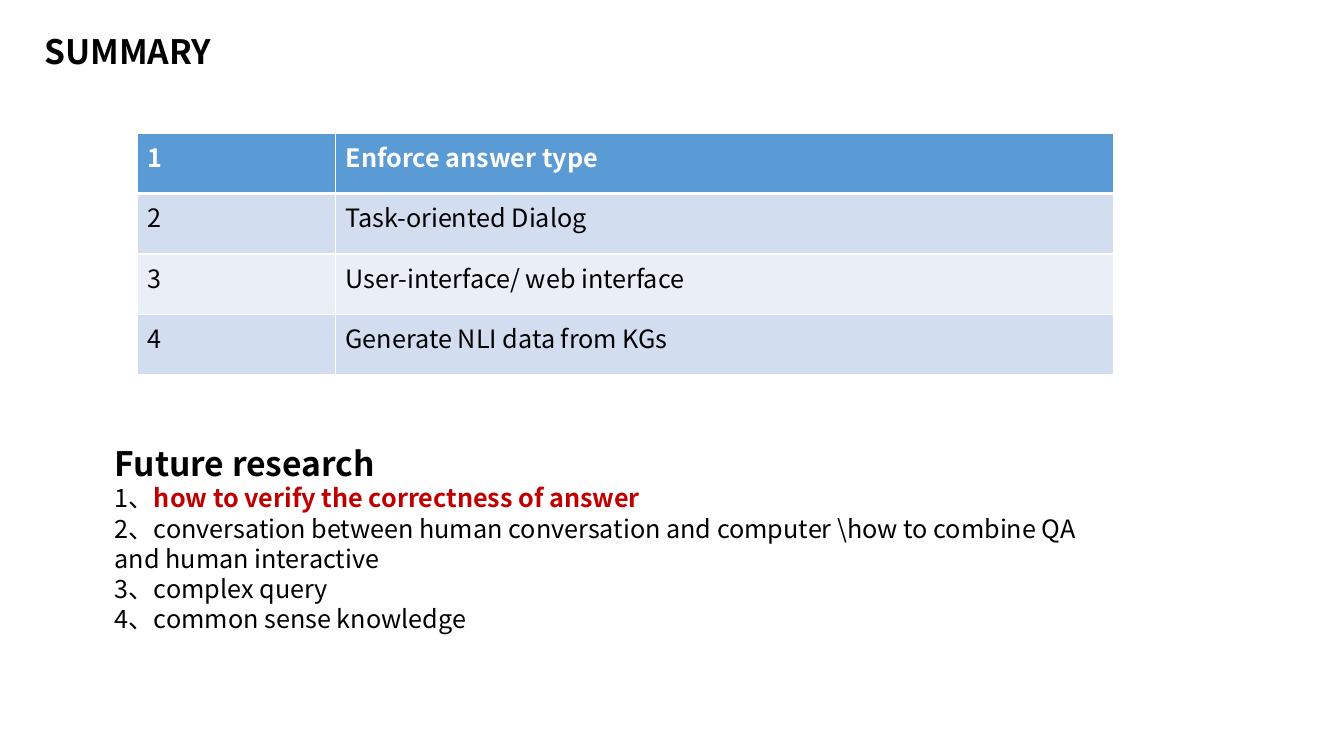
from dataclasses import dataclass

from lxml.etree import SubElement
from pptx import Presentation
from pptx.dml.color import RGBColor
from pptx.enum.text import MSO_ANCHOR, MSO_AUTO_SIZE, PP_ALIGN
from pptx.oxml.ns import qn
from pptx.slide import Slide
from pptx.table import _Cell
from pptx.text.text import TextFrame, _Paragraph
from pptx.util import Pt


@dataclass(frozen=True)
class Theme:
    font: str = "Noto Sans CJK SC"
    head: int = 24
    body: int = 18
    lead: float = 1.2
    black: str = "000000"
    white: str = "FFFFFF"
    red: str = "C00000"
    blue: str = "5B9BD5"
    bands: tuple[str, str] = ("D2DEEF", "EAEFF7")
    rule: int = 1
    thick: int = 3


THEME = Theme()


@dataclass(frozen=True)
class Run:
    text: str
    size: int = THEME.body
    color: str = THEME.black
    bold: bool = False


@dataclass(frozen=True)
class Box:
    left: float
    top: float
    width: float
    height: float

    def spots(self) -> tuple[Pt, Pt, Pt, Pt]:
        return Pt(self.left), Pt(self.top), Pt(self.width), Pt(self.height)


TITLE = Box(24.5, 16.6, 363.6, 36)
GRID = Box(97.9, 95, 697.6, 172.8)
NOTES = Box(74.9, 310.3, 712.8, 145.4)
FIRST = 141.8  # width of the number column

TOPICS = [
    "Enforce answer type",
    "Task-oriented Dialog",
    "User-interface/ web interface",
    "Generate NLI data from KGs",
]
FUTURE = [
    [Run("Future research", THEME.head, bold=True)],
    [Run("1、"), Run("how to verify the correctness of answer", color=THEME.red, bold=True)],
    [Run("2、conversation between human conversation and computer "
         "\\how to combine QA and human interactive")],
    [Run("3、complex query")],
    [Run("4、common sense knowledge")],
]


# Text
def add_run(para: _Paragraph, item: Run) -> None:
    run = para.add_run()
    run.text = item.text
    font = run.font
    font.name, font.size, font.bold = THEME.font, Pt(item.size), item.bold
    font.color.rgb = RGBColor.from_string(item.color)
    SubElement(font._element, qn("a:ea"), typeface=THEME.font)


def fill_frame(frame: TextFrame, lines: list[list[Run]]) -> None:
    frame.word_wrap = True
    frame.auto_size = MSO_AUTO_SIZE.NONE
    frame.vertical_anchor = MSO_ANCHOR.TOP
    frame.margin_left = frame.margin_right = Pt(7.2)
    frame.margin_top, frame.margin_bottom = Pt(5.7), Pt(0)
    for index, line in enumerate(lines):
        para = frame.add_paragraph() if index else frame.paragraphs[0]
        para.alignment = PP_ALIGN.LEFT
        para.line_spacing = Pt(line[0].size * THEME.lead)
        for item in line:
            add_run(para, item)


# Table
def add_edge(cell: _Cell, side: str, width: int) -> None:
    props = cell._tc.get_or_add_tcPr()
    edge = SubElement(props, qn(f"a:ln{side}"), w=str(Pt(width)))
    fill = SubElement(edge, qn("a:solidFill"))
    SubElement(fill, qn("a:srgbClr"), val=THEME.white)


def style_cell(cell: _Cell, row: int, text: str) -> None:
    is_head = row == 0
    thick = {"B": 0, "T": 1}  # sides that meet below the header row
    for side in "LRTB":
        add_edge(cell, side, THEME.thick if thick.get(side) == row else THEME.rule)
    cell.fill.solid()
    shade = THEME.blue if is_head else THEME.bands[(row - 1) % 2]
    cell.fill.fore_color.rgb = RGBColor.from_string(shade)
    color = THEME.white if is_head else THEME.black
    add_run(cell.text_frame.paragraphs[0], Run(text, color=color, bold=is_head))


def add_grid(slide: Slide) -> None:
    table = slide.shapes.add_table(len(TOPICS), 2, *GRID.spots()).table
    table.columns[0].width = Pt(FIRST)
    table.columns[1].width = Pt(GRID.width - FIRST)
    for row, topic in enumerate(TOPICS):
        table.rows[row].height = Pt(GRID.height / len(TOPICS))
        for col, text in enumerate((str(row + 1), topic)):
            style_cell(table.cell(row, col), row, text)


def main() -> None:
    deck = Presentation()
    deck.slide_width, deck.slide_height = Pt(960), Pt(540)
    slide = deck.slides.add_slide(deck.slide_layouts[5])

    # Title
    title = slide.shapes.title
    title.left, title.top, title.width, title.height = TITLE.spots()
    fill_frame(title.text_frame, [[Run("SUMMARY", THEME.head, bold=True)]])

    # Topics and future research
    add_grid(slide)
    notes = slide.shapes.add_textbox(*NOTES.spots())
    fill_frame(notes.text_frame, FUTURE)

    deck.save("out.pptx")


if __name__ == "__main__":
    main()
